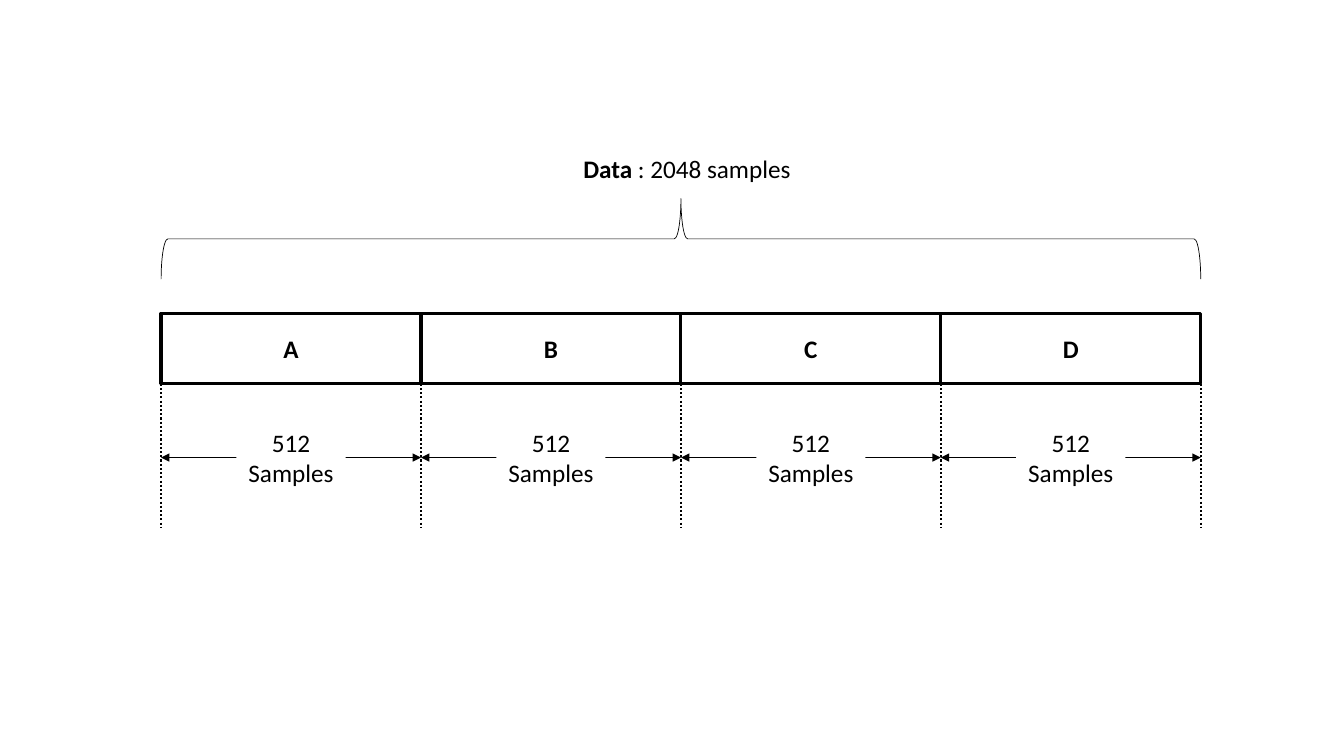
from pptx import Presentation
from pptx.dml.color import RGBColor
from pptx.enum.dml import MSO_LINE
from pptx.enum.shapes import MSO_CONNECTOR, MSO_SHAPE
from pptx.enum.text import MSO_ANCHOR as Anchor, MSO_AUTO_SIZE as AutoSize, PP_ALIGN as Align
from pptx.oxml.ns import qn
from pptx.util import Cm, Pt
from lxml.etree import SubElement

COLOURS = {"ink": "000000", "paper": "FFFFFF"}
FONT = "Calibri"
BLOCKS = ["A", "B", "C", "D"]
LEFT, BLOCK_WIDTH = 4.06, 6.55
BLOCK_TOP, BLOCK_HEIGHT = 7.9, 1.76
GUIDE_TOP, GUIDE_BOTTOM = 9.67, 13.3
ARROW_Y = 11.53
LABEL_WIDTH, LABEL_HEIGHT = 2.75, 1.68
BRACE_DEPTH, BRACE_MIDDLE = 2.03, 6.02


def colour(name):
    """Return the named palette colour."""
    return RGBColor.from_string(COLOURS[name])


def write(paragraph, text, size=18, bold=False, ink="ink", align=None):
    """Add a formatted run to a paragraph."""
    run = paragraph.add_run()
    run.text = text
    run.font.name, run.font.size, run.font.bold = FONT, Pt(size), bold
    run.font.color.rgb = colour(ink)
    if align is not None:
        paragraph.alignment = align


class Diagram:
    """Draw styled elements on one slide."""

    def __init__(self, slide):
        """Keep the slide's shapes."""
        self.shapes = slide.shapes

    def shape(self, kind, left, top, width, height, fill=None, weight=None):
        """Add a preset shape with optional fill and outline."""
        shape = self.shapes.add_shape(kind, Cm(left), Cm(top), Cm(width), Cm(height))
        shape.shadow.inherit = False
        if fill:
            shape.fill.solid()
            shape.fill.fore_color.rgb = colour(fill)
        else:
            shape.fill.background()
        if weight:
            shape.line.color.rgb = colour("ink")
            shape.line.width = Pt(weight)
        else:
            shape.line.fill.background()
        return shape

    def box(self, text, left, top, width, height, bold=False, weight=None):
        """Add a white rectangle with centred text."""
        shape = self.shape(MSO_SHAPE.RECTANGLE, left, top, width, height, "paper", weight)
        frame = shape.text_frame
        frame.word_wrap = True
        frame.vertical_anchor = Anchor.MIDDLE
        write(frame.paragraphs[0], text, bold=bold, align=Align.CENTER)

    def brace(self, centre, middle, depth, span):
        """Add a brace that opens downwards over a span."""
        shape = self.shape(MSO_SHAPE.LEFT_BRACE, centre - depth / 2, middle - span / 2,
                           depth, span, weight=0.5)
        shape.rotation = 90

    def caption(self, parts, left, top, width, height):
        """Add one line of text from (text, bold) parts."""
        frame = self.shapes.add_textbox(Cm(left), Cm(top), Cm(width), Cm(height)).text_frame
        frame.word_wrap = False
        frame.auto_size = AutoSize.SHAPE_TO_FIT_TEXT
        for text, bold in parts:
            write(frame.paragraphs[0], text, bold=bold)

    def line(self, start, end, weight, dash=None, arrows=False):
        """Add a straight line, dashed or with arrowheads if asked."""
        connector = self.shapes.add_connector(
            MSO_CONNECTOR.STRAIGHT, *[Cm(value) for value in (*start, *end)])
        connector.line.color.rgb = colour("ink")
        connector.line.width = Pt(weight)
        if dash is not None:
            connector.line.dash_style = dash
        if arrows:
            for tag in ("a:headEnd", "a:tailEnd"):
                SubElement(connector.get_or_add_ln(), qn(tag), type="triangle")
        SubElement(connector._element.spPr, qn("a:effectLst"))


presentation = Presentation()
presentation.slide_width, presentation.slide_height = Cm(33.87), Cm(19.05)
diagram = Diagram(presentation.slides.add_slide(presentation.slide_layouts[6]))

edges = [LEFT + index * BLOCK_WIDTH for index in range(len(BLOCKS) + 1)]
for name, left in zip(BLOCKS, edges):
    diagram.box(name, left, BLOCK_TOP, BLOCK_WIDTH, BLOCK_HEIGHT, bold=True, weight=2.25)

for edge in edges:
    diagram.line((edge, GUIDE_TOP), (edge, GUIDE_BOTTOM), 1.5, dash=MSO_LINE.ROUND_DOT)

diagram.brace((edges[0] + edges[-1]) / 2, BRACE_MIDDLE, BRACE_DEPTH, edges[-1] - edges[0])
diagram.caption([("Data", True), (" : 2048 samples", False)], 14.45, 3.73, 5.77, 1.02)

for left, right in zip(edges, edges[1:]):
    diagram.line((left, ARROW_Y), (right, ARROW_Y), 0.5, arrows=True)
    diagram.box("512 Samples", (left + right - LABEL_WIDTH) / 2, ARROW_Y - LABEL_HEIGHT / 2,
                LABEL_WIDTH, LABEL_HEIGHT)

presentation.save("out.pptx")
